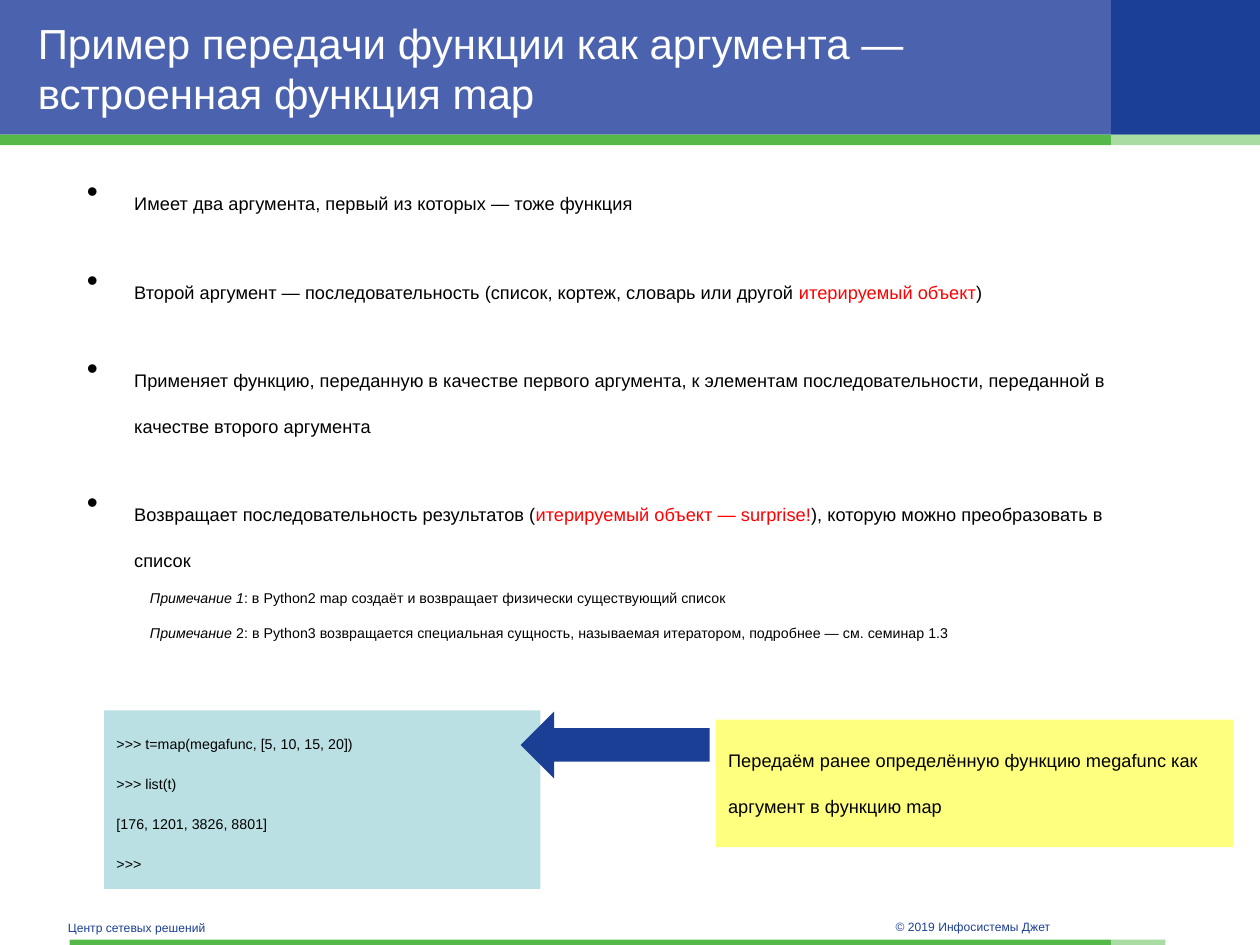
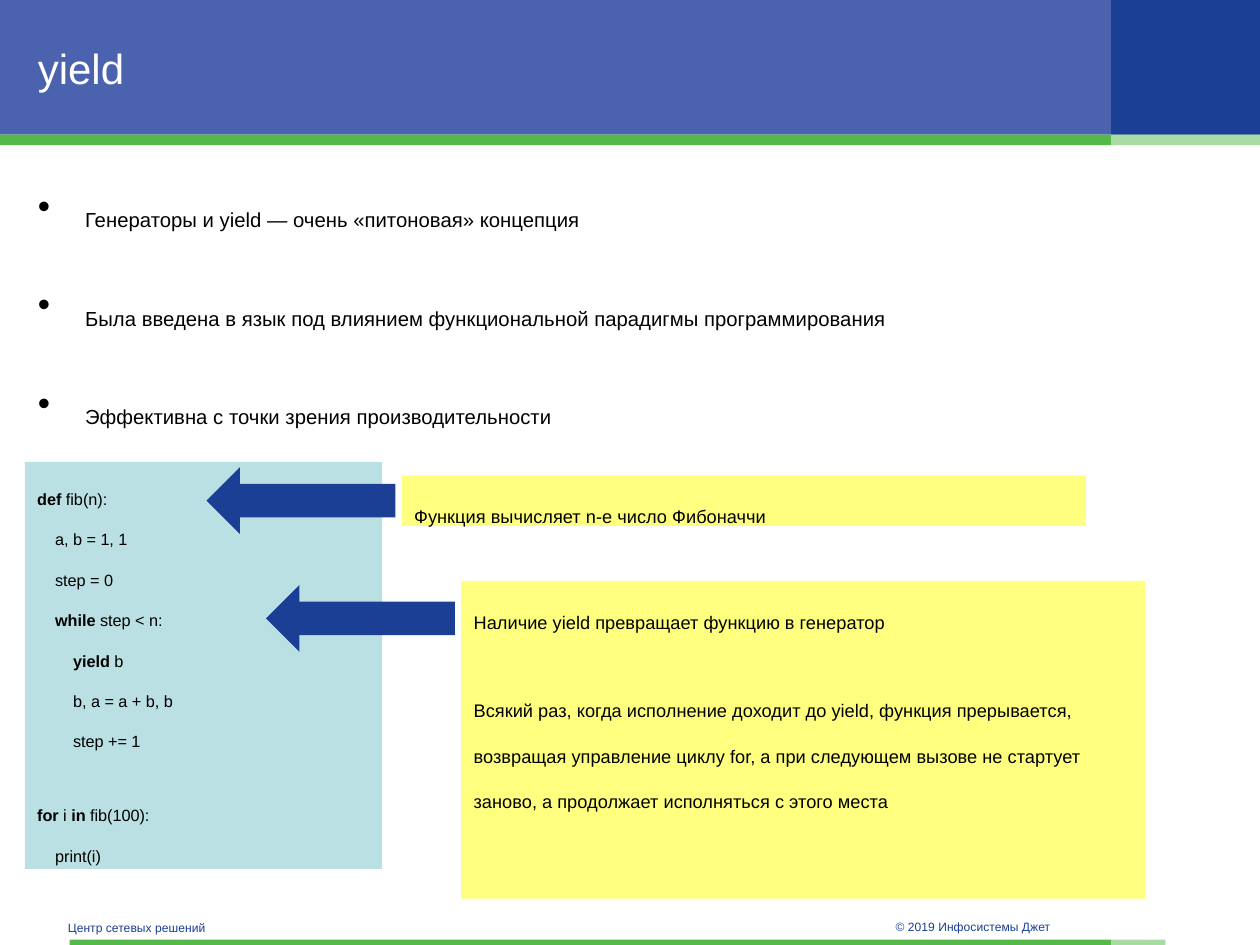
from copy import deepcopy

from lxml import etree
from pptx import Presentation
from pptx import util as u
from pptx.dml import color as dml
from pptx.enum import shapes, text
from pptx.oxml import ns

Pt = u.Pt
COLOURS = {
    "band": "4B63AE", "navy": "1B3F94", "green": "54B948", "pale_green": "A9DCA3",
    "code": "BBE0E3", "note": "FFFF00", "ink": "000000", "accent": "FF0000",
    "white": "FFFFFF",
}
FONT = "Arial"
LOWERED = "-33000"
SPLIT = 635  # where the dark part of each band begins
WIDTH, HEIGHT = 720, 540

BOLD, ITALIC = {"bold": True}, {"italic": True}
RED = {"colour": "accent"}


class Deck:
    def __init__(self):
        self.prs = Presentation()
        self.prs.slide_width, self.prs.slide_height = Pt(WIDTH), Pt(HEIGHT)
        self.slide = None

    def new_slide(self, heading):
        self.slide = self.prs.slides.add_slide(self.prs.slide_layouts[1])
        self.block("band", 0, 0, WIDTH, 77)
        self.block("navy", SPLIT, 0, WIDTH - SPLIT, 77)
        self.stripe(0, WIDTH, 77, 6)
        self.label("© 2019 Инфосистемы Джет", 504.7, 517.7, 170, 14.4)
        self.label("Центр сетевых решений", 31.7, 517, 237.6, 16.6)
        self.stripe(39.8, 666, 537, 3)
        title = self.slide.shapes.title
        self.place(title, 14.4, 10.1, 607, 56.9)
        self.frame(title, text.MSO_ANCHOR.MIDDLE)
        paragraph = title.text_frame.paragraphs[0]
        paragraph.alignment = text.PP_ALIGN.LEFT
        self.runs(paragraph, [heading], 24, "white", lowered=False)

    def place(self, shape, *box):
        """Move a placeholder to the box and above the bands."""
        for side, length in zip(("left", "top", "width", "height"), box):
            setattr(shape, side, Pt(length))
        shape.element.getparent().append(shape.element)

    def frame(self, shape, anchor=text.MSO_ANCHOR.TOP):
        settings = {"word_wrap": True, "auto_size": text.MSO_AUTO_SIZE.NONE,
                    "vertical_anchor": anchor}
        for name, value in settings.items():
            setattr(shape.text_frame, name, value)

    def block(self, fill, left, top, width, height,
              kind=shapes.MSO_SHAPE.RECTANGLE, alpha=None):
        shape = self.slide.shapes.add_shape(
            kind, Pt(left), Pt(top), Pt(width), Pt(height))
        shape.shadow.inherit = False
        shape.line.fill.background()
        shape.fill.solid()
        shape.fill.fore_color.rgb = dml.RGBColor.from_string(COLOURS[fill])
        if alpha:
            colour = shape.element.spPr.find(".//" + ns.qn("a:srgbClr"))
            etree.SubElement(colour, ns.qn("a:alpha"), val=str(alpha * 1000))
        return shape

    def stripe(self, left, right, top, height):
        self.block("green", left, top, SPLIT - left, height)
        self.block("pale_green", SPLIT, top, right - SPLIT, height)

    def label(self, caption, *box):
        shape = self.slide.shapes.add_textbox(*map(Pt, box))
        self.frame(shape, text.MSO_ANCHOR.MIDDLE)
        self.runs(shape.text_frame.paragraphs[0], [caption], 12, "navy")

    def runs(self, paragraph, parts, size, colour="ink", lowered=True):
        """Add parts, each a string or (string, format); newlines become breaks."""
        for part in parts:
            words, extra = (part, {}) if isinstance(part, str) else part
            style = {"name": FONT, "size": Pt(size), "bold": False,
                     "italic": False, "colour": colour, **extra}
            rgb = dml.RGBColor.from_string(COLOURS[style.pop("colour")])
            for number, line in enumerate(words.split("\n")):
                run = paragraph.add_run()
                run.text = line
                for name, value in style.items():
                    setattr(run.font, name, value)
                run.font.color.rgb = rgb
                properties = run.font._element
                if lowered:
                    properties.set("baseline", LOWERED)
                if number:
                    paragraph.add_line_break()
                    line_break = paragraph._p[-1]
                    line_break.append(deepcopy(properties))
                    run._r.addprevious(line_break)
                if not line:
                    paragraph._p.remove(run._r)

    def paragraphs(self, shape, items, size, gap=0):
        """Yield a paragraph per item, filled and spaced by the gap."""
        for number, parts in enumerate(items):
            body = shape.text_frame
            paragraph = body.add_paragraph() if number else body.paragraphs[0]
            paragraph.alignment = text.PP_ALIGN.LEFT
            paragraph.space_before = Pt(gap if number else 0)
            self.runs(paragraph, parts, size)
            yield paragraph

    def indent(self, paragraph, margin, first, bullet=None):
        properties = paragraph._p.get_or_add_pPr()
        properties.set("marL", str(Pt(margin)))
        properties.set("indent", str(Pt(first)))
        if bullet:
            etree.SubElement(properties, ns.qn("a:buFont"), typeface=FONT)
            etree.SubElement(properties, ns.qn("a:buChar"), char=bullet)
        else:
            etree.SubElement(properties, ns.qn("a:buNone"))

    def bullets(self, box, items, size, gap, remarks=()):
        body = self.slide.placeholders[1]
        self.place(body, *box)
        self.frame(body)
        for paragraph in self.paragraphs(body, items, size, gap):
            self.indent(paragraph, 27, -27, "•")
        for parts in remarks:
            paragraph = body.text_frame.add_paragraph()
            paragraph.level = 1
            paragraph.space_before = Pt(0)
            self.indent(paragraph, 36, 0)
            self.runs(paragraph, parts, 14)

    def panel(self, fill, box, items, size, gap=0, alpha=None):
        shape = self.block(fill, *box, alpha=alpha)
        self.frame(shape)
        list(self.paragraphs(shape, items, size, gap))

    def code(self, box, items, size):
        self.panel("code", box, items, size, gap=2.6)

    def note(self, box, *items):
        self.panel("note", box, [[item] for item in items], 18, 24.6, alpha=50)

    def arrow(self, left, top):
        self.block("navy", left, top, 108, 38.2, shapes.MSO_SHAPE.LEFT_ARROW)


def map_slide(deck):
    deck.new_slide("Пример передачи функции как аргумента — встроенная функция map")
    deck.bullets((42.5, 92.9, 607, 337), [
        ["Имеет два аргумента, первый из которых — тоже функция"],
        ["Второй аргумент — последовательность (список, кортеж, словарь или другой ",
         ("итерируемый объект", RED), ")"],
        ["Применяет функцию, переданную в качестве первого аргумента, к элементам "
         "последовательности, переданной в качестве второго аргумента"],
        ["Возвращает последовательность результатов (",
         ("итерируемый объект — surprise!", RED),
         "), которую можно преобразовать в список"],
    ], 18, 24.6, remarks=[
        [("Примечание 1", ITALIC),
         ": в Python2 map создаёт и возвращает физически существующий список"],
        [("Примечание", ITALIC),
         " 2: в Python3 возвращается специальная сущность, называемая итератором, "
         "подробнее — см. семинар 1.3"],
    ])
    deck.code((59.5, 406, 249.4, 102), [
        [">>> t=map(megafunc, [5, 10, 15, 20])"],
        [">>> list(t)"],
        ["[176, 1201, 3826, 8801]"],
        [">>>"],
    ], 14)
    deck.note((409, 411.3, 296, 72.8),
              "Передаём ранее определённую функцию megafunc как аргумент в функцию map")
    deck.arrow(297.5, 406.6)


def yield_slide(deck):
    deck.new_slide("yield")
    deck.bullets((14.4, 100, 663, 177), [
        ["Генераторы и yield — очень «питоновая» концепция"],
        ["Была введена в язык под влиянием функциональной парадигмы программирования"],
        ["Эффективна с точки зрения производительности"],
    ], 20, 27.3)
    deck.code((14.2, 264, 204.2, 232.6), [[
        ("def ", BOLD), "fib(n):\n    a, b = 1, 1\n    step = 0\n    ",
        ("while ", BOLD), "step < n:\n        ",
        ("yield ", BOLD), "b\n        b, a = a + b, b\n        step += 1\n\n",
        ("for ", BOLD), "i ", ("in ", BOLD), "fib(100):\n    print(i)",
    ]], 16)
    deck.note((229.6, 271.7, 391, 28.8), "Функция вычисляет n-e число Фибоначчи")
    deck.arrow(118, 267)
    deck.note((263.6, 332, 391, 181.6),
              "Наличие yield превращает функцию в генератор",
              "Всякий раз, когда исполнение доходит до yield, функция прерывается, "
              "возвращая управление циклу for, а при следующем вызове не стартует "
              "заново, а продолжает исполняться с этого места")
    deck.arrow(152, 334.3)


def main():
    deck = Deck()
    map_slide(deck)
    yield_slide(deck)
    deck.prs.save("out.pptx")


if __name__ == "__main__":
    main()
